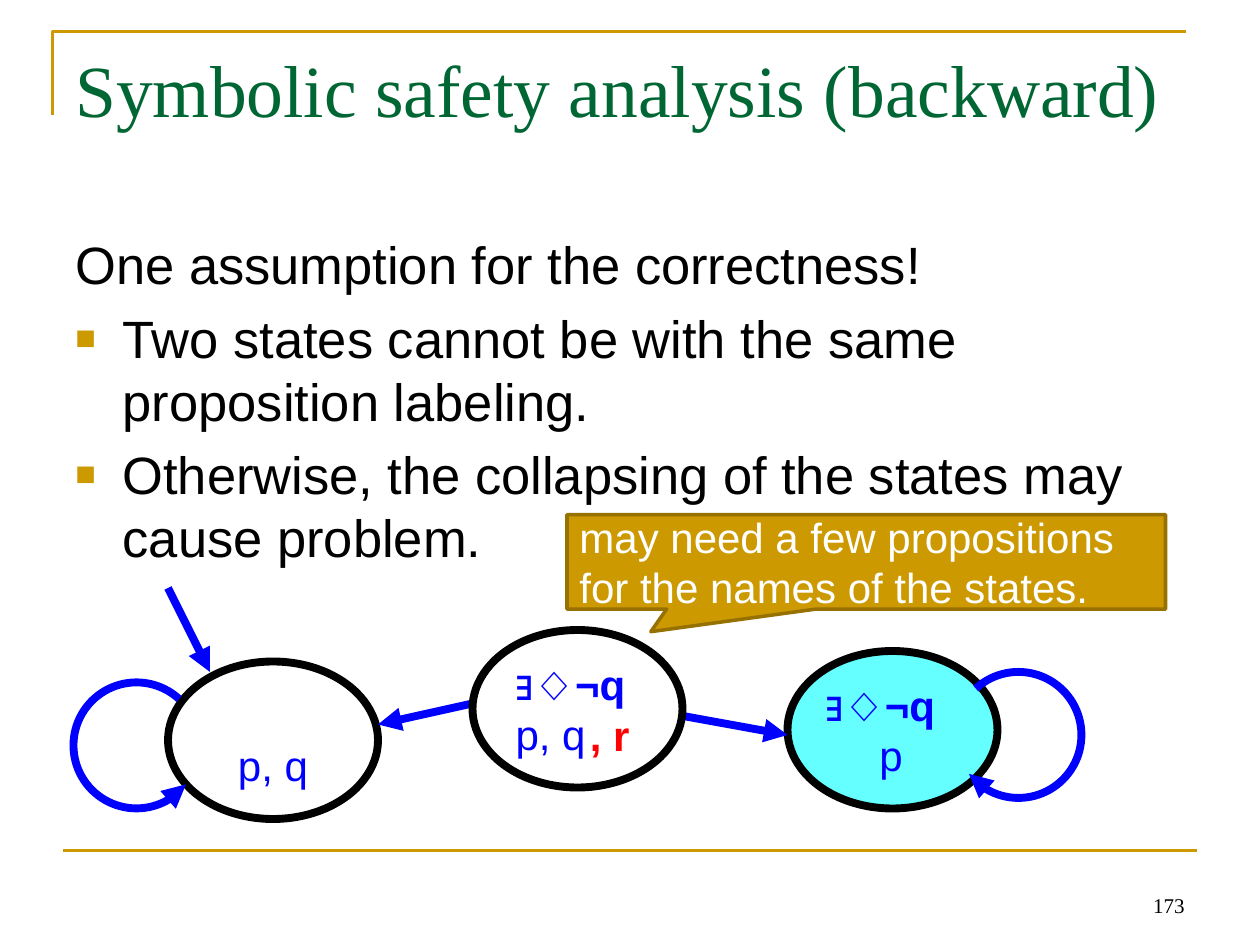
from typing import NamedTuple

from lxml.etree import SubElement as Sub
from pptx import Presentation
from pptx.dml.color import RGBColor as Rgb
from pptx.enum.shapes import MSO_CONNECTOR as Link, MSO_SHAPE as Kind
from pptx.enum.text import MSO_ANCHOR as Anchor, PP_ALIGN as Align
from pptx.oxml.ns import qn
from pptx.util import Pt

GOLD = Rgb(0xCC, 0x99, 0x00)
BROWN = Rgb(0x97, 0x71, 0x00)
GREEN = Rgb(0x00, 0x66, 0x33)
BLUE = Rgb(0x00, 0x00, 0xFF)
CYAN = Rgb(0x66, 0xFF, 0xFF)
RED = Rgb(0xFF, 0x00, 0x00)
BLACK = Rgb(0x00, 0x00, 0x00)
WHITE = Rgb(0xFF, 0xFF, 0xFF)
SANS, SERIF = "Arial", "Times New Roman"
THICK = 4.5


class Box(NamedTuple):
    x: float
    y: float
    w: float
    h: float


class Font(NamedTuple):
    name: str
    size: float
    color: Rgb
    bold: bool = False


class Para(NamedTuple):
    text: str
    font: Font
    align: Align = Align.LEFT
    indent: float = 0
    hang: float = 0
    bullet: bool = False
    before: float = 0


class State(NamedTuple):
    box: Box
    fill: Rgb
    paras: list[Para]
    left: float = 7.2
    top: float = 3.6


class Arrow(NamedTuple):
    x1: float
    y1: float
    x2: float
    y2: float


class Loop(NamedTuple):
    box: Box
    flip: bool


LABEL = Font(SANS, 24, BLUE)
MARK = Font(SANS, 24, BLUE, True)
BODY = Font(SANS, 30, BLACK)

LEFT = State(Box(96, 378, 120, 90), WHITE,
             [Para("p, q", LABEL, Align.CENTER)], top=31.2)
RIGHT = State(Box(450, 372, 120, 90), CYAN,
              [Para("∃◇¬q", MARK), Para("p", LABEL, indent=31)], left=4)
MID = State(Box(270, 360, 120, 90), WHITE,
            [Para("∃◇¬q", MARK), Para("p, q", LABEL)])
ARROWS = [Arrow(384, 408, 450, 420), Arrow(96, 336, 120, 384),
          Arrow(270, 402, 216, 414)]
LOOPS = [Loop(Box(546, 384, 72, 72), False), Loop(Box(42, 390, 72, 72), True)]
POINTS = [
    Para("One assumption for the correctness!", BODY),
    Para("Two states cannot be with the same proposition labeling.", BODY,
         indent=27, hang=27, bullet=True, before=6),
    Para("Otherwise, the collapsing of the states may cause problem.", BODY,
         indent=27, hang=27, bullet=True, before=6),
]


def add_bullet(props) -> None:
    color = Sub(Sub(props, qn("a:buClr")), qn("a:srgbClr"))
    color.set("val", str(GOLD))
    Sub(props, qn("a:buSzPct")).set("val", "65000")
    Sub(props, qn("a:buFont")).set("typeface", SANS)
    Sub(props, qn("a:buChar")).set("char", "■")


def write(shape, paras: list[Para], anchor: Anchor = Anchor.TOP,
          left: float = 7.2, top: float = 3.6, wrap: bool = True) -> None:
    frame = shape.text_frame
    frame.word_wrap = wrap
    frame.vertical_anchor = anchor
    frame.margin_left, frame.margin_top = Pt(left), Pt(top)
    for i, item in enumerate(paras):
        para = frame.add_paragraph() if i else frame.paragraphs[0]
        para.alignment = item.align
        props = para._p.get_or_add_pPr()
        props.set("marL", str(Pt(item.indent)))
        props.set("indent", str(Pt(-item.hang)))
        if item.before:
            para.space_before = Pt(item.before)
        if item.bullet:
            add_bullet(props)
        run = para.add_run()
        run.text = item.text
        font = run.font
        font.name, font.size = item.font.name, Pt(item.font.size)
        font.bold, font.color.rgb = item.font.bold, item.font.color


def add_text(slide, box: Box, paras: list[Para], **opts) -> None:
    write(slide.shapes.add_textbox(*map(Pt, box)), paras, **opts)


def style(line, color: Rgb, width: float, arrow: bool = False) -> None:
    line.color.rgb = color
    line.width = Pt(width)
    if arrow:
        Sub(line._get_or_add_ln(), qn("a:tailEnd")).set("type", "triangle")


def add_line(slide, ends: Arrow, color: Rgb, width: float,
             arrow: bool = False) -> None:
    line = slide.shapes.add_connector(Link.STRAIGHT, *map(Pt, ends))
    style(line.line, color, width, arrow)
    Sub(line._element.spPr, qn("a:effectLst"))


def add_shape(slide, kind: Kind, box: Box, fill: Rgb):
    shape = slide.shapes.add_shape(kind, *map(Pt, box))
    shape.shadow.inherit = False
    shape.fill.solid()
    shape.fill.fore_color.rgb = fill
    return shape


def add_state(slide, state: State) -> None:
    oval = add_shape(slide, Kind.OVAL, state.box, state.fill)
    style(oval.line, BLACK, THICK)
    write(oval, state.paras, Anchor.MIDDLE, state.left, state.top)


def add_loop(slide, loop: Loop) -> None:
    arc = slide.shapes.add_shape(Kind.ARC, *map(Pt, loop.box))
    arc.shadow.inherit = False
    arc.fill.background()
    arc.adjustments[0], arc.adjustments[1] = 136.45, 85.07
    style(arc.line, BLUE, THICK, True)
    if loop.flip:
        arc._element.spPr.xfrm.set("flipH", "1")


def add_frame(slide) -> None:
    """Draw the corner above the title and the rule at the foot."""
    pen = slide.shapes.build_freeform(Pt(30), Pt(66))
    pen.add_line_segments([(Pt(30), Pt(18)), (Pt(678), Pt(18))], close=False)
    edge = pen.convert_to_shape()
    edge.shadow.inherit = False
    edge.fill.background()
    style(edge.line, GOLD, 1.5)
    add_line(slide, Arrow(36, 486, 684, 486), GOLD, 1.5)


def main() -> None:
    deck = Presentation()
    deck.slide_width, deck.slide_height = Pt(720), Pt(540)
    slide = deck.slides.add_slide(deck.slide_layouts[6])
    add_frame(slide)
    add_text(slide, Box(36, 126, 648, 356), POINTS, top=6.6)
    add_text(slide, Box(36, 21.6, 648, 90),
             [Para("Symbolic safety analysis (backward)",
                   Font(SERIF, 42, GREEN))])
    add_text(slide, Box(516, 492, 168, 36),
             [Para("173", Font(SERIF, 12, BLACK), Align.RIGHT)],
             anchor=Anchor.BOTTOM)
    add_state(slide, LEFT)
    add_state(slide, RIGHT)
    for arrow in ARROWS:
        add_line(slide, arrow, BLUE, THICK, True)
    for loop in LOOPS:
        add_loop(slide, loop)
    add_state(slide, MID)
    note = add_shape(slide, Kind.RECTANGULAR_CALLOUT,
                     Box(324, 294, 342, 54), GOLD)
    note.adjustments[0], note.adjustments[1] = -0.36, 0.74
    style(note.line, BROWN, 2)
    write(note, [Para("may need a few propositions for the names of the "
                      "states.", Font(SANS, 24, WHITE))], Anchor.MIDDLE)
    add_text(slide, Box(330, 402, 37.4, 36.4),
             [Para(", r", Font(SANS, 24, RED, True))], wrap=False)
    deck.save("out.pptx")


if __name__ == "__main__":
    main()
